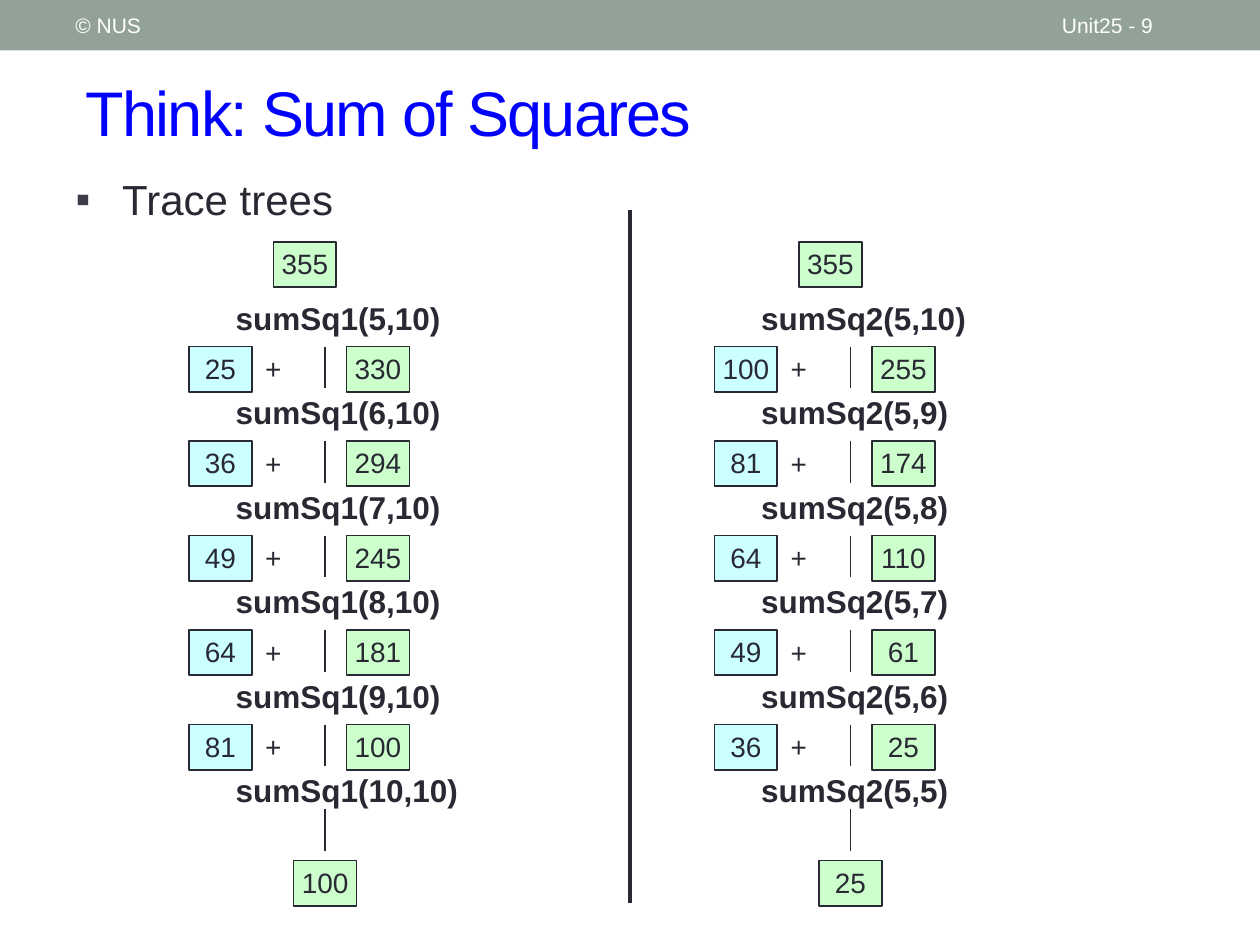
from dataclasses import dataclass

from lxml.etree import SubElement
from pptx import Presentation
from pptx.dml.color import RGBColor
from pptx.enum.shapes import MSO_CONNECTOR, MSO_SHAPE
from pptx.enum.text import MSO_ANCHOR, MSO_AUTO_SIZE, PP_ALIGN
from pptx.oxml.ns import qn
from pptx.util import Inches, Pt


@dataclass(frozen=True)
class Theme:
    font: str = "Arial"
    band: RGBColor = RGBColor(0x93, 0xA2, 0x99)
    title: RGBColor = RGBColor(0x00, 0x00, 0xFF)
    ink: RGBColor = RGBColor(0x29, 0x29, 0x34)
    bullet: str = "3B3B4B"
    white: RGBColor = RGBColor(0xFF, 0xFF, 0xFF)
    term: RGBColor = RGBColor(0xCC, 0xFF, 0xFF)
    result: RGBColor = RGBColor(0xCC, 0xFF, 0xCC)
    title_size: int = 36
    body_size: int = 24
    call_size: int = 18
    value_size: int = 16
    header_size: int = 12


theme = Theme()
deck = Presentation()
deck.slide_width, deck.slide_height = Inches(10), Inches(7.5)
page = deck.slides.add_slide(deck.slide_layouts[1])
shapes = page.shapes


def write(box, text, size, color, align=PP_ALIGN.LEFT, bold=False,
          margin=None, anchor=MSO_ANCHOR.TOP):
    """Fill a box with one formatted paragraph and return the paragraph."""
    frame = box.text_frame
    frame.text = text
    frame.word_wrap = True
    frame.auto_size = MSO_AUTO_SIZE.NONE
    frame.vertical_anchor = anchor
    if margin is not None:
        frame.margin_left = frame.margin_right = Inches(margin)
        frame.margin_top = frame.margin_bottom = Inches(margin)
    para = frame.paragraphs[0]
    para.alignment = align
    para.space_before = Pt(0)
    font = para.runs[0].font
    font.name, font.size, font.bold = theme.font, Pt(size), bold
    font.color.rgb = color
    return para


def draw_line(x, top, bottom, width=1):
    """Draw a vertical line."""
    line = shapes.add_connector(MSO_CONNECTOR.STRAIGHT, Inches(x), Inches(top),
                                Inches(x), Inches(bottom))
    line.line.color.rgb = theme.ink
    line.line.width = Pt(width)
    SubElement(line._element.spPr, qn("a:effectLst"))


# Header band
band = shapes.add_shape(MSO_SHAPE.RECTANGLE, 0, 0, deck.slide_width, Inches(0.4))
band.shadow.inherit = False
band.fill.solid()
band.fill.fore_color.rgb = theme.band
band.line.fill.background()
for text, left, width in (("© NUS", 0.5, 3.17), ("Unit25 - 9", 8.33, 1.17)):
    box = shapes.add_textbox(Inches(left), Inches(0.02), Inches(width), Inches(0.36))
    write(box, text, theme.header_size, theme.white, anchor=MSO_ANCHOR.MIDDLE)

# Title
title = shapes.title
title.left, title.top = Inches(0.58), Inches(0.42)
title.width, title.height = Inches(9.17), Inches(0.92)
para = write(title, "Think: Sum of Squares", theme.title_size, theme.title,
             anchor=MSO_ANCHOR.MIDDLE)
para.runs[0].font._element.set("spc", "-100")

# Bulleted heading
body = page.placeholders[1]
body.left, body.top = Inches(0.5), Inches(1.33)
body.width, body.height = Inches(2.75), Inches(0.59)
para = write(body, "Trace trees", theme.body_size, theme.ink)
props = para._p.get_or_add_pPr()
props.set("marL", str(Inches(0.37)))
props.set("indent", str(-Inches(0.37)))
SubElement(SubElement(props, qn("a:buClr")), qn("a:srgbClr")).set("val", theme.bullet)
SubElement(props, qn("a:buFont")).set("typeface", theme.font)
SubElement(props, qn("a:buChar")).set("char", "▪")

# Trace trees: sumSq1 raises the lower bound, sumSq2 lowers the upper bound
low, high = 5, 10
numbers = range(low, high + 1)
trees = (
    (1.5, [(f"sumSq1({n},{high})", n * n) for n in numbers]),
    (5.67, [(f"sumSq2({low},{n})", n * n) for n in reversed(numbers)]),
)
row_top, row_step = 2.75, 0.75

for left, steps in trees:
    stem = left + 1.08
    remaining = sum(square for _, square in steps)
    values = [(remaining, left + 0.67, 1.92, theme.result)]

    for row, (call, square) in enumerate(steps):
        top = row_top + row * row_step
        box = shapes.add_textbox(Inches(left + 0.33), Inches(top - 0.42),
                                 Inches(2.42), Inches(0.38))
        write(box, call, theme.call_size, theme.ink, bold=True, margin=0.04)

        if row == len(steps) - 1:
            # Base case
            draw_line(stem, top - 0.08, top + 0.25)
            values.append((square, left + 0.83, top + 0.33, theme.result))
        else:
            # Square added to the result of the next call
            remaining -= square
            draw_line(stem, top, top + 0.33)
            plus = shapes.add_textbox(Inches(left + 0.42), Inches(top),
                                      Inches(0.5), Inches(0.35))
            write(plus, "+", theme.value_size, theme.ink, PP_ALIGN.CENTER, margin=0.04)
            values.append((square, left, top, theme.term))
            values.append((remaining, left + 1.25, top, theme.result))

    for value, value_left, value_top, fill in values:
        box = shapes.add_shape(MSO_SHAPE.RECTANGLE, Inches(value_left),
                               Inches(value_top), Inches(0.5), Inches(0.36))
        box.shadow.inherit = False
        box.fill.solid()
        box.fill.fore_color.rgb = fill
        box.line.color.rgb = theme.ink
        box.line.width = Pt(1)
        write(box, str(value), theme.value_size, theme.ink, PP_ALIGN.CENTER, margin=0.04)

# Divider between the trees
draw_line(5, 1.67, 7.17, width=2.5)

deck.save("out.pptx")
